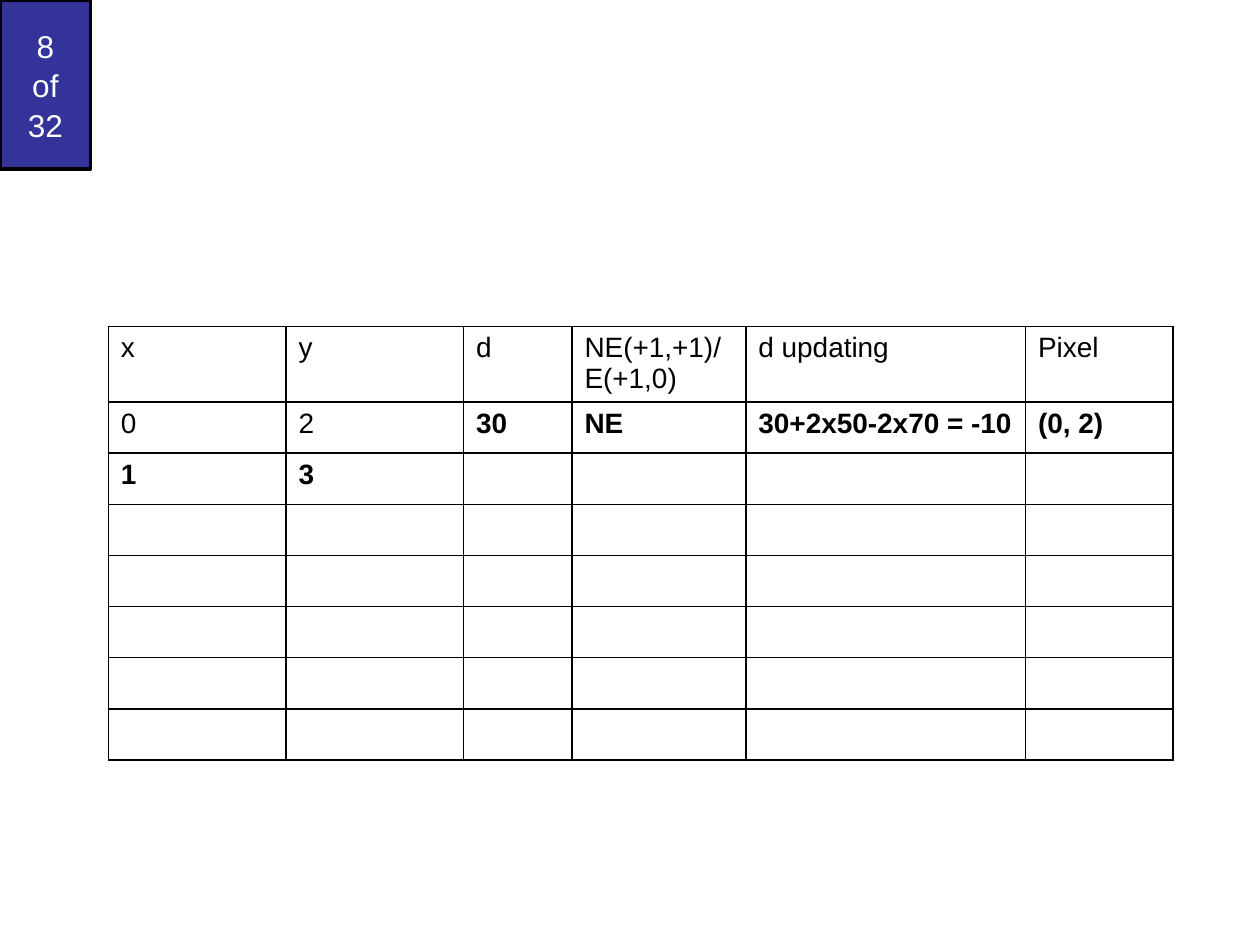
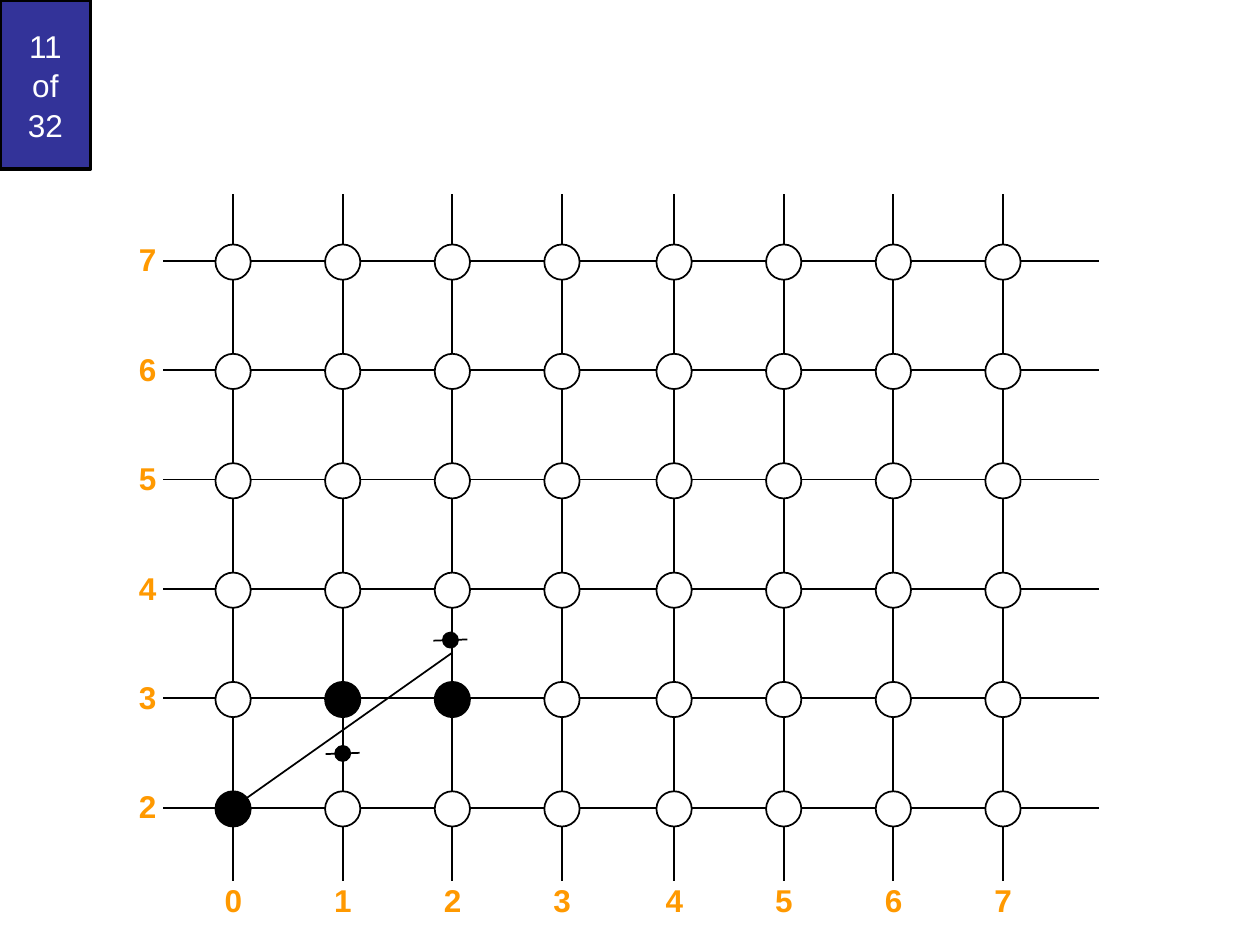
"""Builds two slides on midpoint line drawing: a step table and a pixel grid."""
from dataclasses import dataclass

from lxml import etree
from pptx import Presentation
from pptx import util as u
from pptx.dml.color import RGBColor
from pptx.enum import shapes, text
from pptx.oxml import ns

COLS, ROWS = 100, 75
WIDE, HIGH = u.Inches(10), u.Inches(7.5)
LEFT, MID, RIGHT = text.PP_ALIGN.LEFT, text.PP_ALIGN.CENTER, text.PP_ALIGN.RIGHT


@dataclass(frozen=True)
class Theme:
    """Colours, font, type sizes and line widths."""
    ink: str = "000000"
    paper: str = "FFFFFF"
    badge: str = "333399"
    label: str = "FF9900"
    font: str = "Arial"
    big: int = 18
    small: int = 16
    thin: int = 1
    thick: int = 2


def write(frame, words, size, color, font, bold=False, align=LEFT, space=None):
    """Put words in a text frame with the given format."""
    para = frame.paragraphs[0]
    para.text = words
    para.alignment = align
    para.line_spacing = space
    for run in para.runs:
        face = run.font
        face.name, face.size, face.bold = font, u.Pt(size), bold
        face.color.rgb = RGBColor.from_string(color)


def across(cols):
    """Turn grid columns into a length."""
    return round(WIDE * cols / COLS)


def down(rows):
    """Turn grid rows into a length."""
    return round(HIGH * rows / ROWS)


def place(left, top, wide, high):
    """Turn a grid box into four lengths."""
    return across(left), down(top), across(wide), down(high)


class Deck:
    """Holds the theme and the current slide, and draws each kind of element."""

    def __init__(self, theme):
        """Start an empty deck."""
        self.theme = theme
        self.file = Presentation()
        self.file.slide_width, self.file.slide_height = WIDE, HIGH
        self.host = None

    def slide(self, num, total):
        """Add a slide with its page badge."""
        look = self.theme
        page = self.file.slides.add_slide(self.file.slide_layouts[6])
        self.host = page.shapes
        box = self.shape(shapes.MSO_SHAPE.RECTANGLE, (0, 0, 7.2, 13.4),
                         look.badge, look.thick)
        box.text_frame.vertical_anchor = text.MSO_ANCHOR.MIDDLE
        write(box.text_frame, f"{num}\nof\n{total}", look.big, look.paper,
              look.font, align=MID, space=1.05)

    def shape(self, kind, box, fill, width):
        """Add a filled and outlined preset shape."""
        item = self.host.add_shape(kind, *place(*box))
        item.shadow.inherit = False
        item.fill.solid()
        item.fill.fore_color.rgb = RGBColor.from_string(fill)
        self.stroke(item.line, width)
        return item

    def stroke(self, line, width):
        """Ink a line at a width in points."""
        line.color.rgb = RGBColor.from_string(self.theme.ink)
        line.width = u.Pt(width)

    def dot(self, x, y, size, fill):
        """Add a circle centred on a point."""
        box = (x - size / 2, y - size / 2, size, size)
        self.shape(shapes.MSO_SHAPE.OVAL, box, fill, self.theme.thin)

    def line(self, x1, y1, x2, y2):
        """Add a thin straight line."""
        item = self.host.add_connector(shapes.MSO_CONNECTOR.STRAIGHT,
                                       *place(x1, y1, x2, y2))
        self.stroke(item.line, self.theme.thin)
        etree.SubElement(item._element.spPr, ns.qn("a:effectLst"))

    def mark(self, x, y):
        """Add a grouped midpoint: a small dot on a short, slightly tilted tick."""
        page = self.host
        self.host = page.add_group_shape().shapes
        self.line(x - 1.35, y + 0.05, x + 1.35, y - 0.05)
        self.dot(x, y, 1.2, self.theme.ink)
        self.host = page

    def label(self, words, left, top):
        """Add an axis number."""
        look = self.theme
        frame = self.host.add_textbox(*place(left, top, 3.4, 4)).text_frame
        frame.word_wrap = False
        write(frame, words, look.big, look.label, look.font, bold=True, align=RIGHT)

    def table(self, left, top, wides, highs, rows, bold):
        """Add a ruled table; bold holds the cells set in bold."""
        look = self.theme
        box = place(left, top, sum(wides), sum(highs))
        grid = self.host.add_table(len(highs), len(wides), *box).table
        grid.first_row = grid.horz_banding = False
        for col, wide in zip(grid.columns, wides):
            col.width = across(wide)
        for row, high in zip(grid.rows, highs):
            row.height = down(high)
        for cell in grid.iter_cells():
            cell.fill.background()
            self.rule(cell)
        for r, row in enumerate(rows):
            for c, words in enumerate(row):
                write(grid.cell(r, c).text_frame, words, look.small, look.ink,
                      look.font, bold=(r, c) in bold)

    def rule(self, cell):
        """Draw the four borders of a cell."""
        props = cell._tc.get_or_add_tcPr()
        for spot, side in enumerate(("lnL", "lnR", "lnT", "lnB")):
            edge = etree.Element(ns.qn(f"a:{side}"), w=str(u.Pt(self.theme.thin)))
            fill = etree.SubElement(edge, ns.qn("a:solidFill"))
            etree.SubElement(fill, ns.qn("a:srgbClr"), val=self.theme.ink)
            props.insert(spot, edge)


def steps(deck):
    """Build the table of steps."""
    deck.slide(8, 32)
    rows = [
        ("x", "y", "d", "NE(+1,+1)/E(+1,0)", "d updating", "Pixel"),
        ("0", "2", "30", "NE", "30+2x50-2x70 = -10", "(0, 2)"),
        ("1", "3"),
    ]
    bold = {(1, c) for c in range(2, 6)} | {(2, 0), (2, 1)}
    deck.table(8.6, 25.9, (14.1, 14.1, 8.6, 13.8, 22.2, 11.7),
               [6] + [4.06] * 7, rows, bold)


def pixels(deck):
    """Build the pixel grid with the line drawn so far."""
    deck.slide(11, 32)
    look = deck.theme
    xs = {n: 18.5 + 8.7 * n + (0.2 if n > 3 else 0) for n in range(8)}
    ys = {n: 64.1 - 8.68 * (n - 2) for n in range(2, 8)}
    lit = {(0, 2), (1, 3), (2, 3)}
    for y in ys.values():
        deck.line(87.2, y, 12.9, y)
    for x in xs.values():
        deck.line(x, 15.4, x, 69.9)
    for row, y in ys.items():
        for col, x in xs.items():
            deck.dot(x, y + 0.1, 2.8, look.ink if (col, row) in lit else look.paper)
    for row, y in ys.items():
        deck.label(str(row), 10, y - 2.1)
    for col, x in xs.items():
        deck.label(str(col), x - 1.7, 69.4)
    deck.line(xs[0], ys[2], xs[2], 51.8)
    deck.mark(xs[1], 59.8)
    deck.mark(xs[2] - 0.15, 50.8)


def main():
    """Build and save the deck."""
    deck = Deck(Theme())
    steps(deck)
    pixels(deck)
    deck.file.save("out.pptx")


if __name__ == "__main__":
    main()
